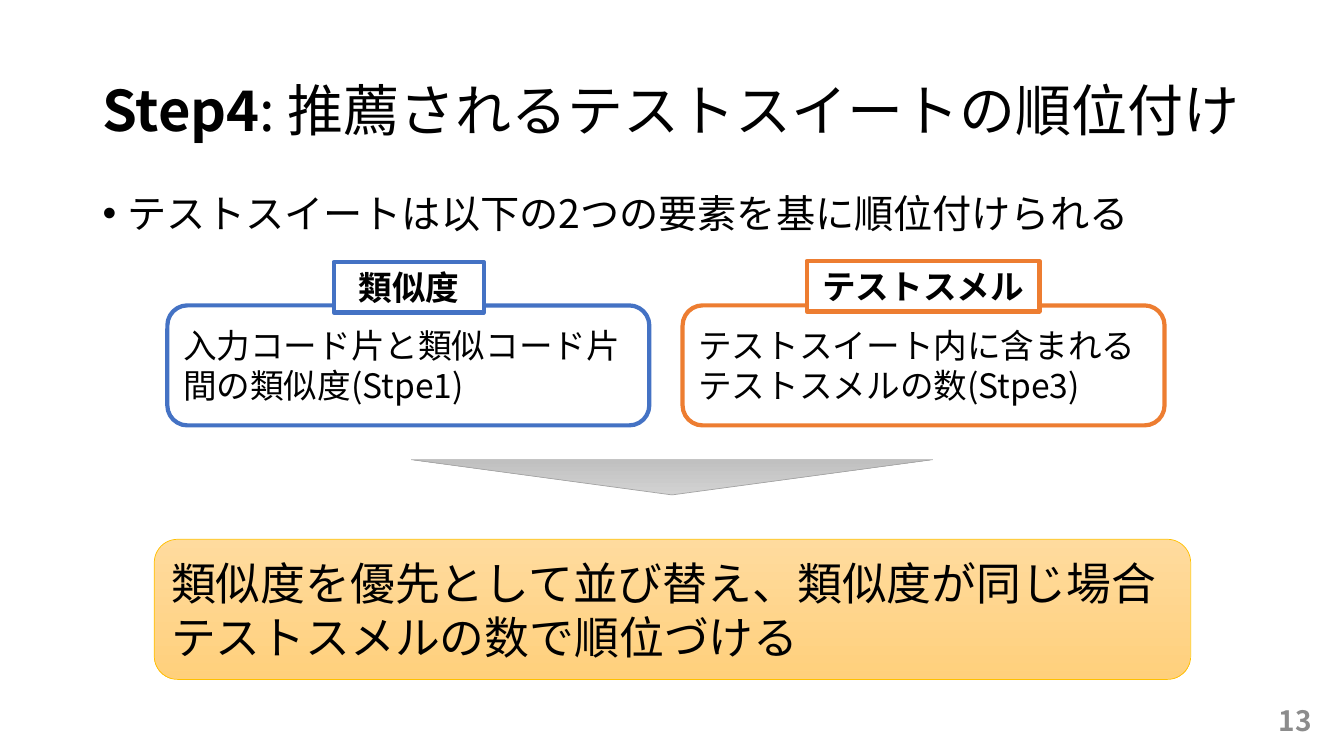
import pptx
import pptx.util
import pptx.dml.color
import pptx.enum.shapes
import pptx.enum.text
import pptx.oxml.ns
import lxml.etree

EMU_PER_PX = 9144  # 100 px to the inch
FONT = "Noto Sans CJK JP"
BLUE, ORANGE = "4472C4", "ED7D31"
SHAPE = pptx.enum.shapes.MSO_SHAPE
ALIGN = pptx.enum.text.PP_ALIGN
ANCHOR = pptx.enum.text.MSO_ANCHOR


def px(*lengths):
    return [pptx.util.Emu(n * EMU_PER_PX) for n in lengths]


def rgb(value):
    return pptx.dml.color.RGBColor.from_string(value)


def add_xml(parent, tag, **attributes):
    lxml.etree.SubElement(parent, pptx.oxml.ns.qn(tag), attributes)


def write(sp, runs, size, color="000000", bold=False, align=ALIGN.LEFT,
          anchor=ANCHOR.MIDDLE, spacing=None, bullet=False):
    """Fill a shape with one paragraph made of (text, bold) runs or a string."""
    tf = sp.text_frame
    tf.word_wrap = True
    tf.vertical_anchor = anchor
    p = tf.paragraphs[0]
    p.alignment = align
    if spacing:
        p.line_spacing = spacing
    pPr = p._p.get_or_add_pPr()
    if bullet:
        indent = px(25)[0]
        pPr.set("marL", str(indent))
        pPr.set("indent", str(-indent))
        add_xml(pPr, "a:buFont", typeface="Arial")
        add_xml(pPr, "a:buChar", char="•")
    p.font.size = pptx.util.Pt(size)
    p.font.name = FONT
    p.font.color.rgb = rgb(color)
    if isinstance(runs, str):
        p.font.bold = bold
        runs = [(runs, None)]
    add_xml(pPr.find(pptx.oxml.ns.qn("a:defRPr")), "a:ea", typeface=FONT)
    for text, run_bold in runs:
        r = p.add_run()
        r.text = text
        r.font.bold = run_bold
        # East Asian glyphs take their typeface from the run
        add_xml(r._r.get_or_add_rPr(), "a:ea", typeface=FONT)


def add_text(s, box, runs, size, **style):
    write(s.shapes.add_textbox(*px(*box)), runs, size, **style)


def add_shape(s, kind, box, fill, line, width):
    """Add a preset shape; fill is one colour or a (top, bottom) pair."""
    sp = s.shapes.add_shape(kind, *px(*box))
    sp.shadow.inherit = False
    if isinstance(fill, str):
        sp.fill.solid()
        sp.fill.fore_color.rgb = rgb(fill)
    else:
        sp.fill.gradient()
        sp.fill.gradient_angle = 270
        for stop, color in zip(sp.fill.gradient_stops, fill):
            stop.color.rgb = rgb(color)
    sp.line.color.rgb = rgb(line)
    sp.line.width = pptx.util.Pt(width)
    return sp


def add_factor(s, left, label_box, color, label, description):
    """Add an outlined box with a heading label on its top edge."""
    body = add_shape(s, SHAPE.ROUNDED_RECTANGLE, (left, 303, 478, 119), "FFFFFF", color, 3)
    write(body, description, 24)
    heading = add_shape(s, SHAPE.RECTANGLE, label_box, "FFFFFF", color, 3)
    write(heading, label, 24, bold=True, align=ALIGN.CENTER, anchor=ANCHOR.TOP)


def main():
    prs = pptx.Presentation()
    prs.slide_width, prs.slide_height = px(1333, 750)
    s = prs.slides.add_slide(prs.slide_layouts[6])

    add_text(s, (92, 40, 1190, 145),
             [("Step4", True), (": 推薦されるテストスイートの順位付け", False)],
             40, spacing=0.9)
    add_text(s, (92, 188, 1150, 63), "テストスイートは以下の2つの要素を基に順位付けられる",
             28, anchor=ANCHOR.TOP, spacing=0.9, bullet=True)
    add_text(s, (1011, 695, 300, 40), "13", 20, color="8C8C8C", bold=True,
             align=ALIGN.RIGHT)

    add_factor(s, 166, (331, 260, 149, 50), BLUE, "類似度",
               "入力コード片と類似コード片間の類似度(Stpe1)")
    add_factor(s, 677, (800, 259, 231, 50), ORANGE, "テストスメル",
               "テストスイート内に含まれるテストスメルの数(Stpe3)")

    arrow = add_shape(s, SHAPE.ISOSCELES_TRIANGLE, (408, 456, 517, 35),
                      ("D2D2D2", "C0C0C0"), "A5A5A5", 0.5)
    arrow.rotation = 180

    conclusion = add_shape(s, SHAPE.FLOWCHART_ALTERNATE_PROCESS, (153, 535, 1028, 139),
                           ("FFDB9E", "FFD07C"), "FFC000", 0.5)
    write(conclusion, "類似度を優先として並び替え、類似度が同じ場合テストスメルの数で順位づける", 32)

    prs.save("out.pptx")


if __name__ == "__main__":
    main()
